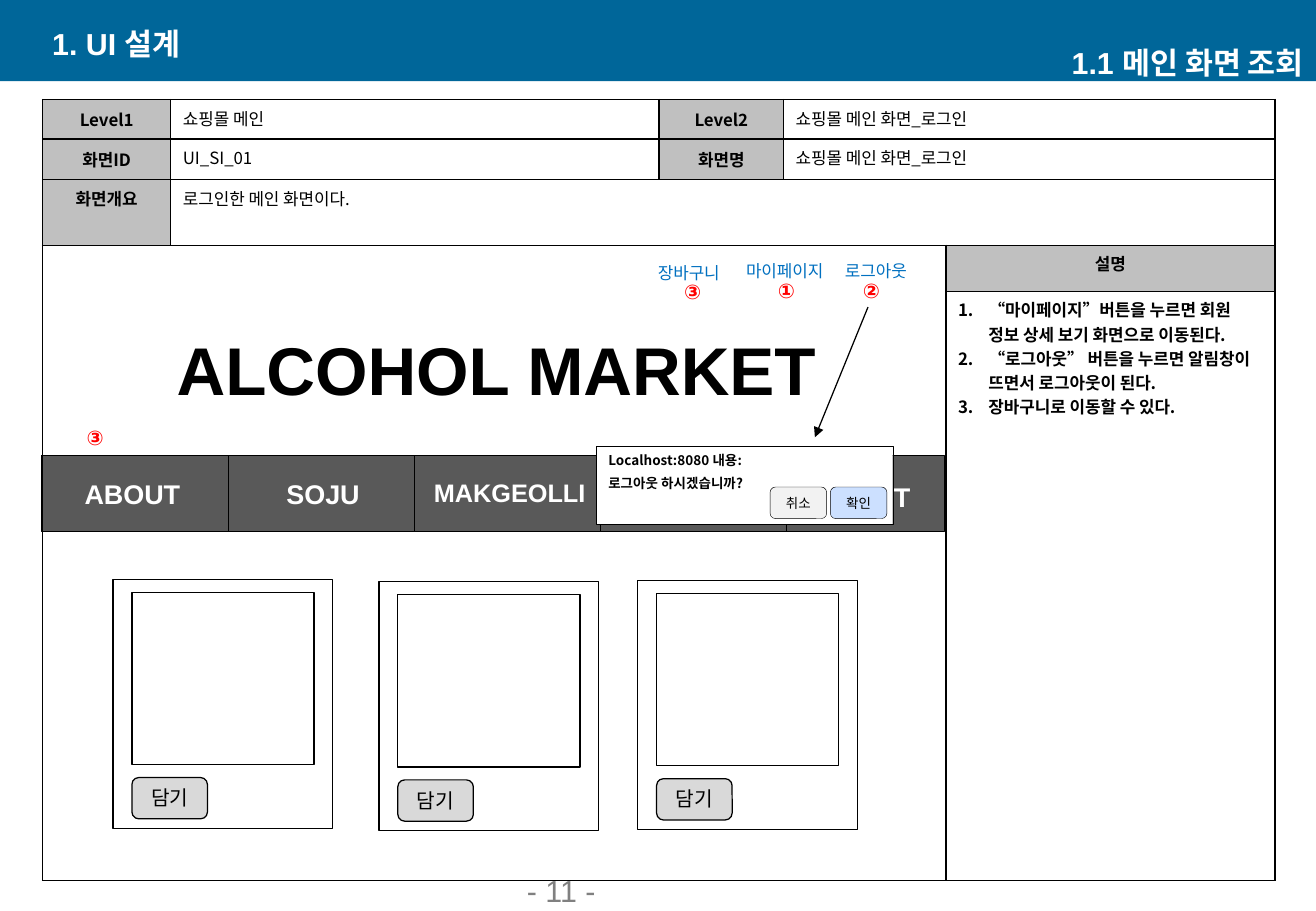
from dataclasses import dataclass
from typing import NamedTuple

from lxml.etree import SubElement
from pptx import Presentation
from pptx.dml.color import RGBColor
from pptx.enum.shapes import MSO_CONNECTOR, MSO_SHAPE
from pptx.enum.text import MSO_ANCHOR as Anchor, MSO_AUTO_SIZE as AutoSize, PP_ALIGN as Align
from pptx.oxml.ns import qn
from pptx.util import Pt

KOREAN = "Noto Sans CJK KR"
BLACK, WHITE, RED, LINK_BLUE = "000000", "FFFFFF", "FF0000", "0070C0"
HEADER_GRAY, NAV_GRAY = "C0C0C0", "595959"


class Box(NamedTuple):
    left: float
    top: float
    width: float
    height: float


@dataclass(frozen=True)
class Style:
    size: float
    color: str = BLACK
    bold: bool = False
    font: str = "Arial"
    align: Align = Align.CENTER
    spacing: float = 0.25  # space around a paragraph, as a share of the size


@dataclass(frozen=True)
class Label:
    text: str
    box: Box
    style: Style
    wrap: bool = True


@dataclass(frozen=True)
class Field:
    """A table cell, with how many rows and columns it covers."""
    row: int
    col: int
    lines: tuple[str, ...] = ()
    heading: bool = False
    middle: bool = False
    bold: bool = False
    rows: int = 1
    cols: int = 1


def rgb(color: str) -> RGBColor:
    return RGBColor.from_string(color)


def write(frame, lines: tuple[str, ...], style: Style) -> None:
    gap = Pt(style.size * style.spacing)
    for number, line in enumerate(lines):
        paragraph = frame.add_paragraph() if number else frame.paragraphs[0]
        for name, value in {"alignment": style.align, "space_before": gap,
                            "space_after": gap}.items():
            setattr(paragraph, name, value)
        run = paragraph.add_run()
        run.text = line
        run.font.color.rgb = rgb(style.color)
        for name, value in {"size": Pt(style.size), "bold": style.bold,
                            "name": style.font}.items():
            setattr(run.font, name, value)
        SubElement(run._r.get_or_add_rPr(), qn("a:ea"), typeface=KOREAN)


def add_label(slide, label: Label, anchor: Anchor = Anchor.TOP, grow: bool = True) -> None:
    frame = slide.shapes.add_textbox(*map(Pt, label.box)).text_frame
    fit = AutoSize.SHAPE_TO_FIT_TEXT if grow else AutoSize.NONE
    for name, value in {"word_wrap": label.wrap, "vertical_anchor": anchor,
                        "auto_size": fit}.items():
        setattr(frame, name, value)
    write(frame, (label.text,), label.style)


def add_panel(slide, box: Box, fill: str, line: float = 0.75, rounded: bool = False,
              lines: tuple[str, ...] = (), style: Style = Style(8)) -> None:
    kind = MSO_SHAPE.ROUNDED_RECTANGLE if rounded else MSO_SHAPE.RECTANGLE
    panel = slide.shapes.add_shape(kind, *map(Pt, box))
    panel.shadow.inherit = False
    panel.fill.solid()
    panel.fill.fore_color.rgb = rgb(fill)
    if line:
        panel.line.color.rgb = rgb(BLACK)
        panel.line.width = Pt(line)
    else:
        panel.line.fill.background()
    panel.text_frame.vertical_anchor = Anchor.TOP
    write(panel.text_frame, lines, style)


def add_arrow(slide, start: tuple[float, float], end: tuple[float, float]) -> None:
    arrow = slide.shapes.add_connector(MSO_CONNECTOR.STRAIGHT, *map(Pt, start + end))
    arrow.line.color.rgb = rgb(BLACK)
    arrow.line.width = Pt(0.75)
    SubElement(arrow.line._get_or_add_ln(), qn("a:tailEnd"), type="triangle")
    SubElement(arrow._element.spPr, qn("a:effectLst"))


def add_borders(cell) -> None:
    properties = cell._tc.get_or_add_tcPr()
    for position, side in enumerate(("lnL", "lnR", "lnT", "lnB")):
        border = SubElement(properties, qn(f"a:{side}"), w=str(Pt(1)))
        fill = SubElement(border, qn("a:solidFill"))
        SubElement(fill, qn("a:srgbClr"), val=BLACK)
        properties.insert(position, border)


def number_paragraphs(frame) -> None:
    for paragraph in frame.paragraphs:
        properties = paragraph._p.get_or_add_pPr()
        properties.set("marL", str(Pt(18)))
        properties.set("indent", str(-Pt(18)))
        SubElement(properties, qn("a:buAutoNum"), type="arabicPeriod")


COLUMNS = (76, 289.5, 73.75, 96.25, 195)
ROWS = (23.5, 24, 39, 27.25, 349.25)
NOTES = Field(4, 4, (
    "“마이페이지”버튼을 누르면 회원 정보 상세 보기 화면으로 이동된다.",
    "“로그아웃” 버튼을 누르면 알림창이 뜨면서 로그아웃이 된다.",
    "장바구니로 이동할 수 있다."), bold=True)
FIELDS = (
    Field(0, 0, ("Level1",), heading=True, middle=True),
    Field(0, 1, ("쇼핑몰 메인",)),
    Field(0, 2, ("Level2",), heading=True, middle=True),
    Field(0, 3, ("쇼핑몰 메인 화면_로그인",), cols=2),
    Field(1, 0, ("화면ID",), heading=True, middle=True),
    Field(1, 1, ("UI_SI_01",)),
    Field(1, 2, ("화면명",), heading=True, middle=True),
    Field(1, 3, ("쇼핑몰 메인 화면_로그인",), cols=2),
    Field(2, 0, ("화면개요",), heading=True),
    Field(2, 1, ("로그인한 메인 화면이다.",), cols=4),
    Field(3, 0, rows=2, cols=4),
    Field(3, 4, ("설명",), heading=True),
    NOTES,
)


def add_screen_table(slide) -> None:
    table = slide.shapes.add_table(len(ROWS), len(COLUMNS), Pt(25.2), Pt(59),
                                   Pt(sum(COLUMNS)), Pt(sum(ROWS))).table
    table.first_row = table.horz_banding = False
    for column, width in zip(table.columns, COLUMNS):
        column.width = Pt(width)
    for row, height in zip(table.rows, ROWS):
        row.height = Pt(height)
    for cell in table.iter_cells():
        cell.fill.background()
        add_borders(cell)
    for field in FIELDS:
        cell = table.cell(field.row, field.col)
        if field.rows * field.cols > 1:
            cell.merge(table.cell(field.row + field.rows - 1, field.col + field.cols - 1))
        if field.heading:
            cell.fill.solid()
            cell.fill.fore_color.rgb = rgb(HEADER_GRAY)
        cell.vertical_anchor = Anchor.MIDDLE if field.middle else Anchor.TOP
        align = Align.CENTER if field.heading else Align.LEFT
        write(cell.text_frame, field.lines,
              Style(10, bold=field.heading or field.bold, font=KOREAN, align=align, spacing=0))
    number_paragraphs(table.cell(NOTES.row, NOTES.col).text_frame)


LINK, MARK = Style(10, LINK_BLUE), Style(12, RED, True)
MENU = Style(16, WHITE, True)
TITLE = Style(18, WHITE, True, align=Align.LEFT, spacing=0)
SECTION = Style(18, WHITE, True, align=Align.RIGHT, spacing=0)
PAGE = Style(18, "808080", align=Align.LEFT, spacing=0)
PAGE_LABELS = (
    (Label("- 11 -", Box(305.3, 525.6, 162.7, 16.5), PAGE), Anchor.BOTTOM),
    (Label("1. UI 설계", Box(23.8, 13.7, 315.4, 23.8), TITLE), Anchor.MIDDLE),
    (Label("1.1 메인 화면 조회", Box(464.4, 25.2, 315.4, 23.8), SECTION), Anchor.MIDDLE),
)
MENU_LABELS = (
    Label("ABOUT", Box(42.5, 279.4, 72, 26.6), MENU),
    Label("SOJU", Box(155.5, 279.4, 72, 26.6), MENU),
    Label("MAKGEOLLI", Box(239.8, 279.4, 124.6, 25.2), Style(15, WHITE, True)),
    Label("BEER", Box(348.5, 280.8, 124.6, 26.6), MENU),
    Label("EVENT", Box(450.7, 281.5, 124.6, 26.6), MENU),
)
SCREEN_LABELS = (
    Label("ALCOHOL MARKET", Box(89.3, 190.8, 409.7, 55.4), Style(40, bold=True)),
    Label("장바구니", Box(380.9, 151.9, 54.7, 19.4), LINK, False),
    Label("마이페이지", Box(432.7, 151.2, 64.8, 19.4), LINK, False),
    Label("로그아웃", Box(491.8, 151.2, 54.7, 19.4), LINK, False),
    Label("③", Box(397.4, 162, 26.6, 21.6), MARK, False),
    Label("①", Box(452.9, 161.3, 26.6, 21.6), MARK, False),
    Label("②", Box(503.3, 161.3, 26.6, 21.6), MARK, False),
    Label("③", Box(43.2, 248.4, 26.6, 21.6), MARK, False),
)
CARDS = ((67, 343.5), (224.6, 344.9), (378, 344.2))


def main() -> None:
    deck = Presentation()
    deck.slide_width, deck.slide_height = Pt(780), Pt(540)
    slide = deck.slides.add_slide(deck.slide_layouts[6])

    add_panel(slide, Box(0, 0, 780, 48.2), "006699", line=0)
    for label, anchor in PAGE_LABELS:
        add_label(slide, label, anchor, grow=False)
    add_screen_table(slide)

    add_panel(slide, Box(24.8, 270, 535, 45.2), NAV_GRAY)
    for tab in range(4):
        add_panel(slide, Box(25.2 + 110.2 * tab, 270, 110.2, 45.2), NAV_GRAY)
    for label in MENU_LABELS + SCREEN_LABELS:
        add_label(slide, label)

    for left, top in CARDS:
        add_panel(slide, Box(left, top, 130.3, 147.6), WHITE)
        add_panel(slide, Box(left + 11.2, top + 7.6, 108, 102.2), WHITE)
        add_panel(slide, Box(left + 11.2, top + 117.4, 44.8, 24.5), "D9D9D9",
                  rounded=True, lines=("담기",), style=Style(12))

    add_panel(slide, Box(353.5, 264.7, 175.7, 46.1), WHITE, line=0.25,
              lines=("Localhost:8080 내용:", "로그아웃 하시겠습니까?"),
              style=Style(8, bold=True, font=KOREAN, align=Align.LEFT))
    for answer, left, fill in (("취소", 456.5, "F2F2F2"), ("확인", 492.2, "CCE0FF")):
        add_panel(slide, Box(left, 288.7, 33.5, 18.7), fill, line=0.25, rounded=True,
                  lines=(answer,), style=Style(8, font=KOREAN))
    add_arrow(slide, (514.5, 182), (483, 259.2))

    deck.save("out.pptx")


if __name__ == "__main__":
    main()
